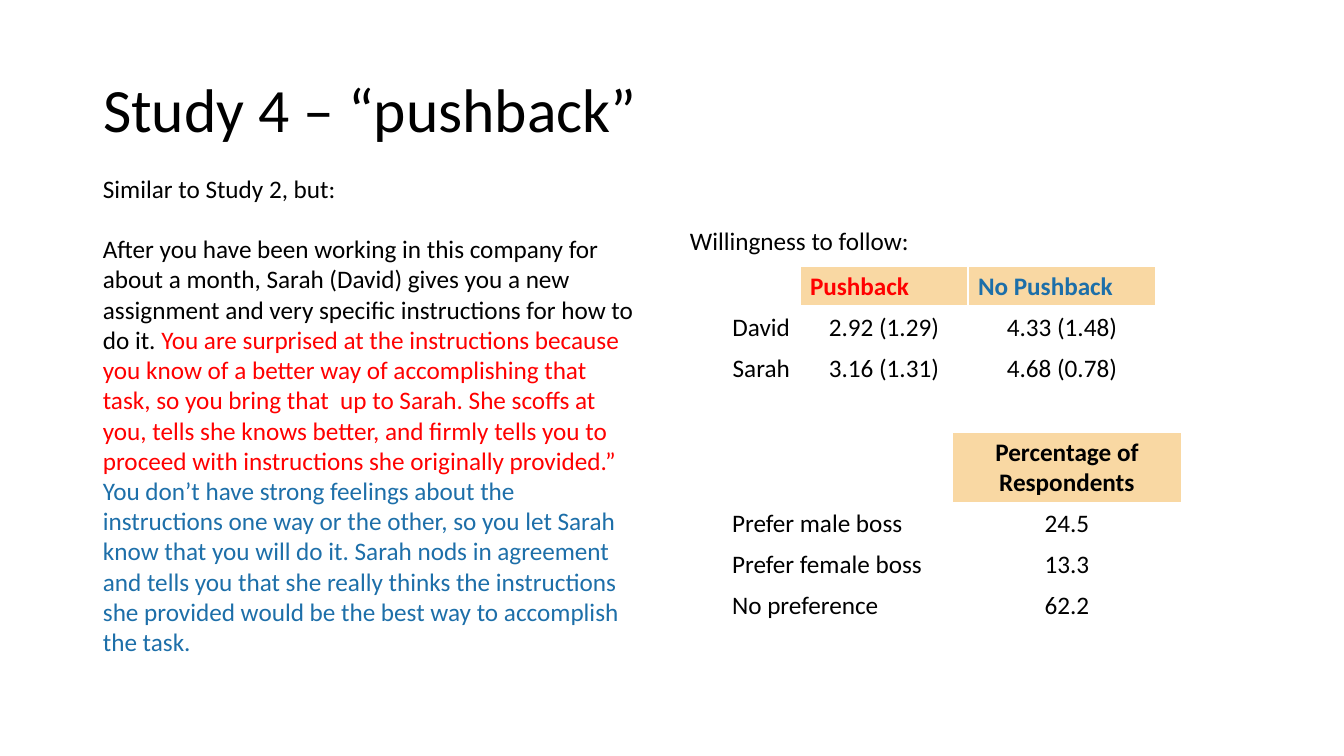
from lxml import etree
from pptx import Presentation
from pptx import util as u
from pptx.dml.color import RGBColor
from pptx.enum import text
from pptx.oxml import ns

BLACK = RGBColor(0x00, 0x00, 0x00)
WHITE = RGBColor(0xFF, 0xFF, 0xFF)
RED = RGBColor(0xFF, 0x00, 0x00)
BLUE = RGBColor(0x1D, 0x6F, 0xA9)
SAND = RGBColor(0xF9, 0xD8, 0xA3)

LEFT, CENTER, RIGHT = text.PP_ALIGN.LEFT, text.PP_ALIGN.CENTER, text.PP_ALIGN.RIGHT


def px(n):
    return u.Emu(round(n * 914400 / 100.8))


class Slide:
    font = "Calibri"
    size = 18

    def __init__(self, prs):
        self.s = prs.slides.add_slide(prs.slide_layouts[5])

    def run(self, p, words, color=BLACK, bold=False, size=None):
        r = p.add_run()
        r.text = words
        f = r.font
        f.name, f.size, f.bold = self.font, u.Pt(size or self.size), bold
        f.color.rgb = color

    def title(self, x, y, w, h, words):
        sp = self.s.shapes.title
        sp.left, sp.top, sp.width, sp.height = px(x), px(y), px(w), px(h)
        tf = sp.text_frame
        tf.auto_size = text.MSO_AUTO_SIZE.NONE
        tf.vertical_anchor = text.MSO_ANCHOR.MIDDLE
        p = tf.paragraphs[0]
        p.alignment, p.line_spacing = LEFT, 0.9
        self.run(p, words, size=44)

    def text(self, x, y, w, h, paragraphs, wrap=True, gap=0):
        sp = self.s.shapes.add_textbox(px(x), px(y), px(w), px(h))
        tf = sp.text_frame
        tf.word_wrap = wrap
        tf.auto_size = text.MSO_AUTO_SIZE.SHAPE_TO_FIT_TEXT
        for i, runs in enumerate(paragraphs):
            p = tf.add_paragraph() if i else tf.paragraphs[0]
            if i:
                p.space_before = u.Pt(gap)
            for words, color in runs:
                self.run(p, words, color)

    def borders(self, cell, bottom):
        tcPr = cell._tc.get_or_add_tcPr()
        for i, (side, width) in enumerate((("L", 1), ("R", 1), ("T", 1), ("B", bottom))):
            ln = etree.Element(ns.qn(f"a:ln{side}"), w=str(u.Pt(width)))
            fill = etree.SubElement(ln, ns.qn("a:solidFill"))
            etree.SubElement(fill, ns.qn("a:srgbClr"), val=str(WHITE))
            tcPr.insert(i, ln)

    def table(self, x, y, cols, heights, head, rows, aligns, head_align):
        gf = self.s.shapes.add_table(len(heights), len(cols), px(x), px(y),
                                     px(sum(cols)), px(sum(heights)))
        tbl = gf.table
        for col, w in zip(tbl.columns, cols):
            col.width = px(w)
        for row, h in zip(tbl.rows, heights):
            row.height = px(h)
        body = [[(words, BLACK) for words in row] for row in rows]
        for i, row in enumerate([head] + body):
            for j, (words, color) in enumerate(row):
                cell = tbl.cell(i, j)
                cell.fill.solid()
                cell.fill.fore_color.rgb = SAND if i == 0 and words else WHITE
                self.borders(cell, 1 if i else 3)
                p = cell.text_frame.paragraphs[0]
                p.alignment = aligns[j] if i else head_align
                if words:
                    self.run(p, words, color, bold=i == 0)


def main():
    prs = Presentation()
    prs.slide_width, prs.slide_height = px(1344), px(756)
    s = Slide(prs)
    s.title(93, 40, 1159, 146, "Study 4 – “pushback”")
    s.table(722, 432, [230, 230], [70, 41, 41, 41],
            [("", BLACK), ("Percentage of Respondents", BLACK)],
            [("Prefer male boss", "24.5"),
             ("Prefer female boss", "13.3"),
             ("No preference", "62.2")],
            [LEFT, CENTER], CENTER)
    s.table(697, 266, [103, 168, 188], [41, 41, 41],
            [("", BLACK), ("Pushback", RED), ("No Pushback", BLUE)],
            [("David", "2.92 (1.29)", "4.33 (1.48)"),
             ("Sarah", "3.16 (1.31)", "4.68 (0.78)")],
            [RIGHT, CENTER, CENTER], LEFT)
    s.text(680, 220, 242, 40, [[("Willingness to follow:", BLACK)]], wrap=False)
    s.text(93, 168, 555, 499, [
        [("Similar to Study 2, but:", BLACK)],
        [("After you have been working in this company for about a month, Sarah (David) "
          "gives you a new assignment and very specific instructions for how to do it. ", BLACK),
         ("You are surprised at the instructions because you know of a better way of "
          "accomplishing that task, so you bring that  up to Sarah. She scoffs at you, "
          "tells she knows better, and firmly tells you to proceed with instructions she "
          "originally provided.” ", RED),
         ("You don’t have strong feelings about the instructions one way or the other, so "
          "you let Sarah know that you will do it. Sarah nods in agreement and tells you "
          "that she really thinks the instructions she provided would be the best way to "
          "accomplish the task.", BLUE)],
    ], gap=21.6)
    prs.save("out.pptx")


if __name__ == "__main__":
    main()
